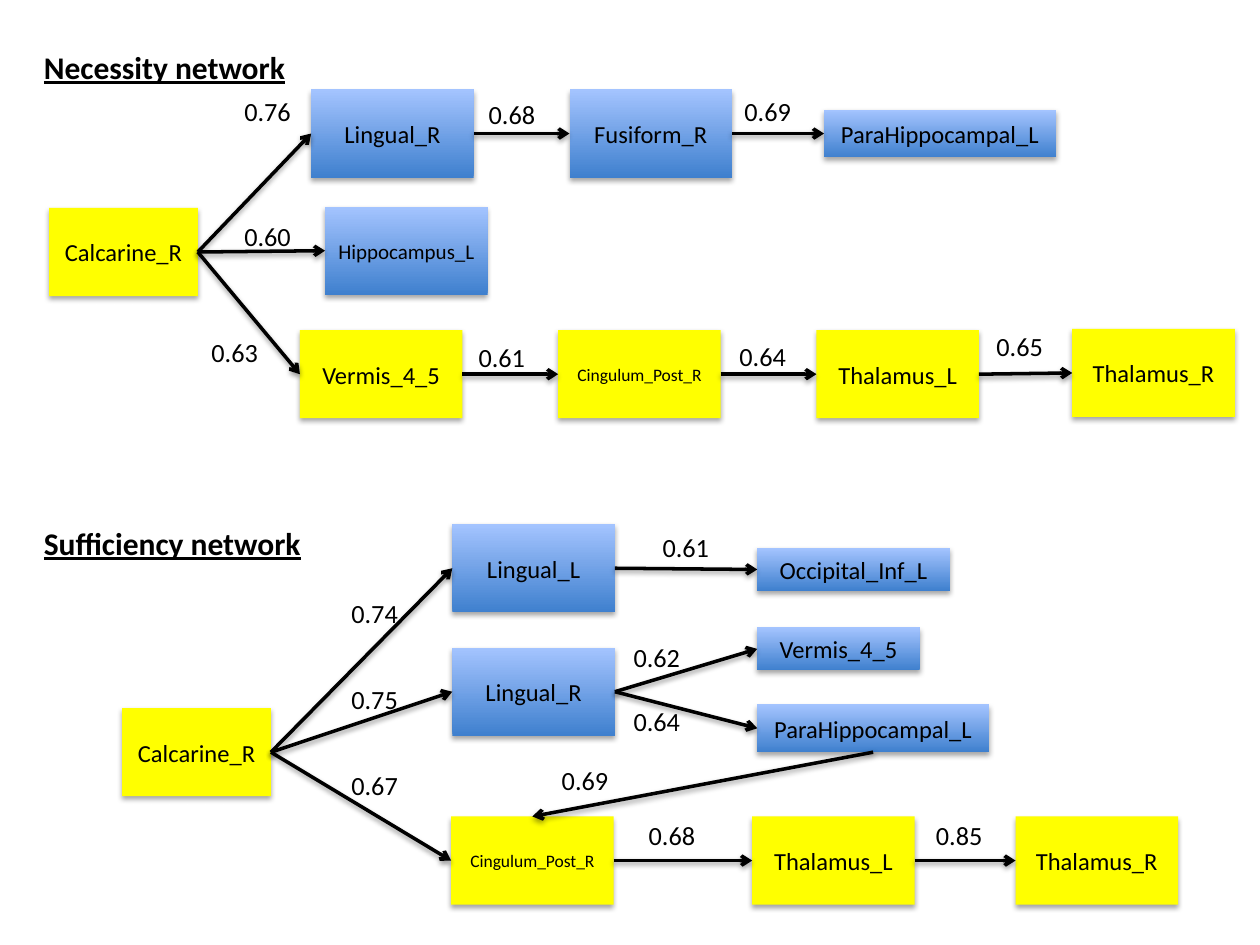
from dataclasses import dataclass

from lxml.etree import SubElement
from pptx import Presentation
from pptx.dml.color import RGBColor
from pptx.enum.shapes import MSO_CONNECTOR, MSO_SHAPE
from pptx.enum.text import MSO_ANCHOR, MSO_AUTO_SIZE, PP_ALIGN
from pptx.oxml.ns import qn
from pptx.util import Inches, Pt


@dataclass(frozen=True)
class Theme:
    font: str = "Calibri"
    black: RGBColor = RGBColor(0, 0, 0)
    yellow: RGBColor = RGBColor(0xFF, 0xFF, 0x00)
    blue_bottom: RGBColor = RGBColor(0x3F, 0x80, 0xCE)
    blue_top: RGBColor = RGBColor(0xA4, 0xC4, 0xFF)
    title_size: int = 18
    weight_size: int = 15
    region_size: int = 14
    line_width: int = 2


THEME = Theme()
REGION = (1.29, 0.7)
SOURCE = (1.18, 0.7)
LONG = (1.84, 0.38)
WEIGHT = (0.58, 0.35)
TOP, LEFT, BOTTOM, RIGHT = range(4)
SMALL_TEXT = {"Hippocampus_L": 12, "Cingulum_Post_R": 10}

NETWORKS = [
    {
        "title": ("Necessity network", 0.25, 0.33, 2.13),
        "yellow": [
            ("Calcarine_R", 0.39, 1.65, SOURCE),
            ("Vermis_4_5", 2.38, 2.62, REGION),
            ("Cingulum_Post_R", 4.43, 2.62, REGION),
            ("Thalamus_L", 6.48, 2.62, REGION),
            ("Thalamus_R", 8.51, 2.61, REGION),
        ],
        "blue": [
            ("Lingual_R", 2.47, 0.71, REGION),
            ("Fusiform_R", 4.52, 0.71, REGION),
            ("ParaHippocampal_L", 6.54, 0.87, LONG),
            ("Hippocampus_L", 2.58, 1.64, REGION),
        ],
        "links": [
            ("Calcarine_R", "Lingual_R", "0.76", 1.84, 0.71),
            ("Lingual_R", "Fusiform_R", "0.68", 3.78, 0.73),
            ("Fusiform_R", "ParaHippocampal_L", "0.69", 5.81, 0.71),
            ("Calcarine_R", "Hippocampus_L", "0.60", 1.84, 1.7),
            ("Calcarine_R", "Vermis_4_5", "0.63", 1.58, 2.62),
            ("Vermis_4_5", "Cingulum_Post_R", "0.61", 3.7, 2.66),
            ("Cingulum_Post_R", "Thalamus_L", "0.64", 5.77, 2.65),
            ("Thalamus_L", "Thalamus_R", "0.65", 7.81, 2.57),
        ],
    },
    {
        "title": ("Sufficiency network", 0.25, 4.11, 2.27),
        "yellow": [
            ("Calcarine_R", 0.97, 5.62, SOURCE),
            ("Cingulum_Post_R", 3.58, 6.48, REGION),
            ("Thalamus_L", 5.97, 6.48, REGION),
            ("Thalamus_R", 8.06, 6.48, REGION),
        ],
        "blue": [
            ("Lingual_L", 3.59, 4.16, REGION),
            ("Lingual_R", 3.59, 5.14, REGION),
            ("Occipital_Inf_L", 6.01, 4.35, (1.53, 0.34)),
            ("Vermis_4_5", 6.01, 4.98, (1.29, 0.34)),
            ("ParaHippocampal_L", 6.01, 5.59, LONG),
        ],
        "links": [
            ("Calcarine_R", "Lingual_L", "0.74", 2.69, 4.69),
            ("Calcarine_R", "Lingual_R", "0.75", 2.69, 5.37),
            ("Calcarine_R", "Cingulum_Post_R", "0.67", 2.69, 6.06),
            ("Lingual_L", "Occipital_Inf_L", "0.61", 5.16, 4.17),
            ("Lingual_R", "Vermis_4_5", "0.62", 4.93, 5.04),
            ("Lingual_R", "ParaHippocampal_L", "0.64", 4.93, 5.55),
            ("ParaHippocampal_L", "Cingulum_Post_R", "0.69", 4.36, 6.02),
            ("Cingulum_Post_R", "Thalamus_L", "0.68", 5.05, 6.45),
            ("Thalamus_L", "Thalamus_R", "0.85", 7.33, 6.45),
        ],
    },
]


def add_run(paragraph, text, size, heading=False):
    run = paragraph.add_run()
    run.text = text
    run.font.name = THEME.font
    run.font.size = Pt(size)
    run.font.color.rgb = THEME.black
    if heading:
        run.font.bold = True
        run.font.underline = True


def add_shadow(properties, distance, opacity):
    effects = properties.find(qn("a:effectLst"))
    if effects is None:
        effects = SubElement(properties, qn("a:effectLst"))
    shadow = SubElement(effects, qn("a:outerShdw"), blurRad=str(Pt(3.1)),
                        dist=str(Pt(distance)), dir="5400000", rotWithShape="0")
    color = SubElement(shadow, qn("a:srgbClr"), val=str(THEME.black))
    SubElement(color, qn("a:alpha"), val=str(opacity * 1000))


def add_region(slide, name, left, top, size, yellow):
    shape = slide.shapes.add_shape(
        MSO_SHAPE.RECTANGLE, *map(Inches, (left, top, *size)))
    if yellow:
        shape.fill.solid()
        shape.fill.fore_color.rgb = THEME.yellow
    else:
        shape.fill.gradient()
        shape.fill.gradient_angle = 90
        colors = (THEME.blue_bottom, THEME.blue_top)
        for stop, color in zip(shape.fill.gradient_stops, colors):
            stop.color.rgb = color
    shape.line.fill.background()
    shape.shadow.inherit = False
    add_shadow(shape._element.spPr, 1.8, 35)
    frame = shape.text_frame
    frame.word_wrap = True
    frame.margin_left = frame.margin_right = Inches(0.05)
    frame.vertical_anchor = MSO_ANCHOR.MIDDLE
    paragraph = frame.paragraphs[0]
    paragraph.alignment = PP_ALIGN.CENTER
    add_run(paragraph, name, SMALL_TEXT.get(name, THEME.region_size))
    return shape


def add_arrow(slide, start, end):
    forward = end.left > start.left
    connector = slide.shapes.add_connector(MSO_CONNECTOR.STRAIGHT, 0, 0, 0, 0)
    connector.begin_connect(start, RIGHT if forward else BOTTOM)
    connector.end_connect(end, LEFT if forward else TOP)
    connector.line.width = Pt(THEME.line_width)
    connector.line.color.rgb = THEME.black
    SubElement(connector.line._get_or_add_ln(), qn("a:tailEnd"), type="arrow")
    add_shadow(connector._element.spPr, 1.6, 38)


def add_label(slide, text, left, top, width, height, size, heading=False):
    box = slide.shapes.add_textbox(*map(Inches, (left, top, width, height)))
    box.text_frame.word_wrap = False
    box.text_frame.auto_size = MSO_AUTO_SIZE.SHAPE_TO_FIT_TEXT
    add_run(box.text_frame.paragraphs[0], text, size, heading)


presentation = Presentation()
presentation.slide_width = Inches(10)
presentation.slide_height = Inches(7.5)
slide = presentation.slides.add_slide(presentation.slide_layouts[6])

for network in NETWORKS:
    add_label(slide, *network["title"], 0.4, THEME.title_size, heading=True)
    regions = {
        region[0]: add_region(slide, *region, yellow=group == "yellow")
        for group in ("yellow", "blue")
        for region in network[group]
    }
    for start, end, weight, left, top in network["links"]:
        add_arrow(slide, regions[start], regions[end])
        add_label(slide, weight, left, top, *WEIGHT, THEME.weight_size)

presentation.save("out.pptx")
